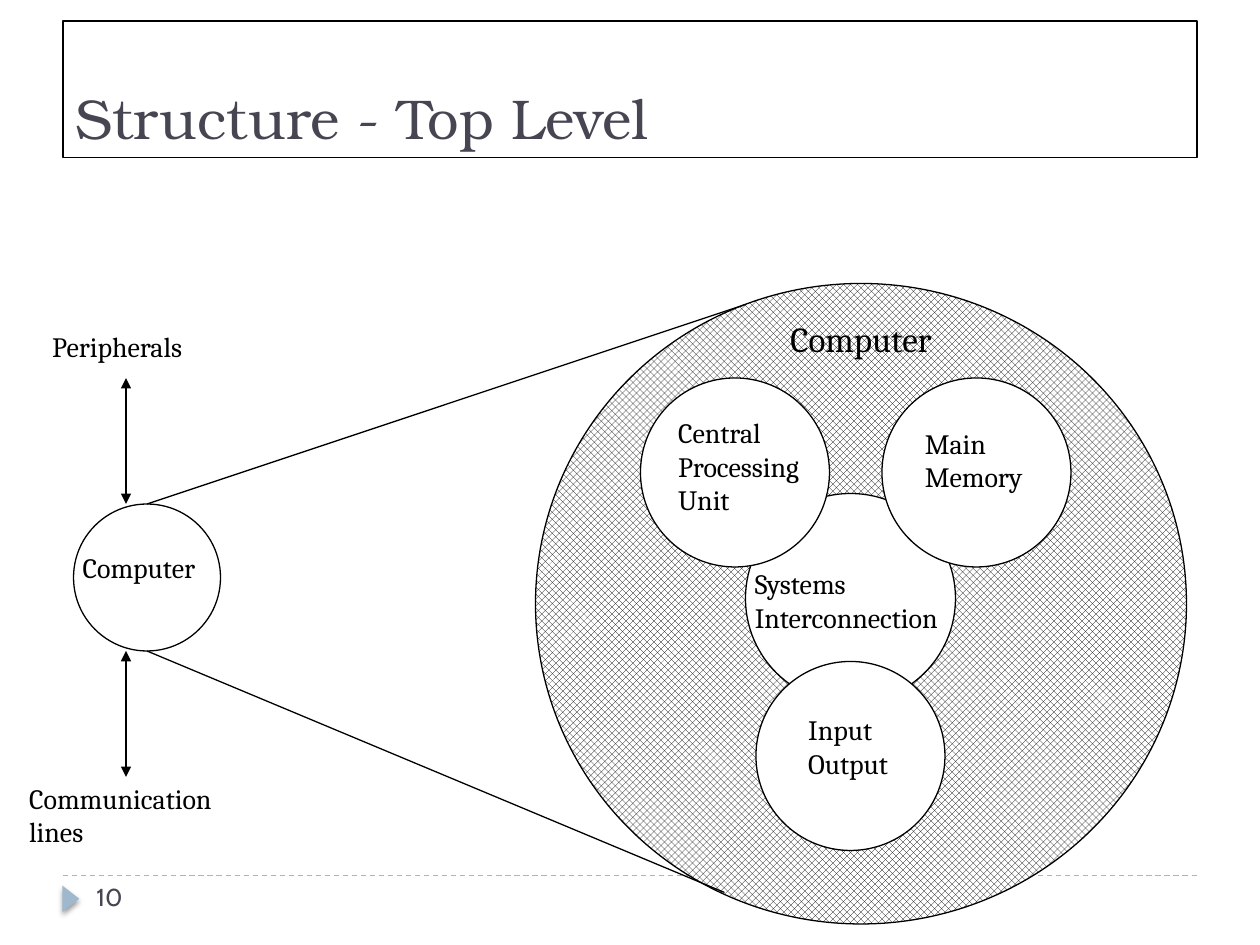
from dataclasses import dataclass

from lxml.etree import SubElement
from pptx import Presentation
from pptx.dml.color import RGBColor
from pptx.enum.dml import MSO_LINE, MSO_PATTERN
from pptx.enum.shapes import MSO_CONNECTOR, MSO_SHAPE
from pptx.enum.text import MSO_ANCHOR, MSO_AUTO_SIZE, PP_ALIGN
from pptx.oxml.ns import qn
from pptx.util import Inches, Pt

# The page is a grid of 120 columns and 90 rows
COLUMNS, ROWS = 120, 90
WIDTH, HEIGHT = Inches(10), Inches(7.5)
BLACK, WHITE, SLATE, ACCENT = "000000", "FFFFFF", "464653", "9FB8CD"
LABEL = {"name": "Cambria", "size": Pt(16)}
HEADING = {"name": "Cambria", "size": Pt(20)}
TITLE = {"name": "TeX Gyre Bonum", "size": Pt(32)}
NUMBER = {"name": "Cabin", "size": Pt(14)}


@dataclass
class Box:
    left: float
    top: float

    def point(self, column, row):
        return (round((self.left + column) * WIDTH / COLUMNS),
                round((self.top + row) * HEIGHT / ROWS))

    def area(self, column, row, columns, rows):
        return (*self.point(column, row),
                round(columns * WIDTH / COLUMNS), round(rows * HEIGHT / ROWS))


def colour(value):
    return RGBColor.from_string(value)


def set_line(line, value=BLACK):
    line.color.rgb = colour(value)
    line.width = Pt(0.75)


def write(frame, lines, style, value=BLACK, align=PP_ALIGN.LEFT):
    for index, text in enumerate(lines):
        para = frame.add_paragraph() if index else frame.paragraphs[0]
        para.alignment = align
        span = para.add_run()
        span.text = text
        for name, setting in style.items():
            setattr(span.font, name, setting)
        span.font.color.rgb = colour(value)


def add_label(page, area, lines, style=LABEL, align=PP_ALIGN.LEFT):
    frame = page.shapes.add_textbox(*area).text_frame
    frame.word_wrap = False
    frame.auto_size = MSO_AUTO_SIZE.SHAPE_TO_FIT_TEXT
    write(frame, lines, style, align=align)
    return frame


def add_circle(page, area, fill=WHITE):
    circle = page.shapes.add_shape(MSO_SHAPE.OVAL, *area)
    circle.shadow.inherit = False
    set_line(circle.line)
    if fill:
        circle.fill.solid()
        circle.fill.fore_color.rgb = colour(fill)
    else:
        circle.fill.background()
    return circle


def add_line(page, start, end, value=BLACK, arrows=False):
    line = page.shapes.add_connector(MSO_CONNECTOR.STRAIGHT, *start, *end)
    set_line(line.line, value)
    SubElement(line.element.spPr, qn("a:effectLst"))
    if arrows:
        outline = line.element.spPr.find(qn("a:ln"))
        for tag in ("a:headEnd", "a:tailEnd"):
            SubElement(outline, qn(tag), type="triangle")
    return line


def add_soft_shadow(shape):
    effects = SubElement(shape.element.spPr, qn("a:effectLst"))
    shadow = SubElement(effects, qn("a:outerShdw"), blurRad=str(Pt(3)),
                        dist=str(Pt(2)), dir="5400000", rotWithShape="0")
    black = SubElement(shadow, qn("a:srgbClr"), val=BLACK)
    SubElement(black, qn("a:alpha"), val="40000")


def draw_frame(page, box):
    # Dashed rules under the title and above the footer
    for row in (83.4, 15):
        rule = add_line(page, box.point(6, row), box.point(114, row), ACCENT)
        rule.line.dash_style = MSO_LINE.DASH

    # Footer marker and page number
    marker = page.shapes.add_shape(MSO_SHAPE.ISOSCELES_TRIANGLE,
                                   *box.area(5.5, 84.8, 2.5, 1.6))
    marker.rotation = 90
    marker.fill.solid()
    marker.fill.fore_color.rgb = colour(ACCENT)
    marker.line.fill.background()
    add_soft_shadow(marker)
    number = page.shapes.add_textbox(*box.area(8, 83.4, 26, 4.8)).text_frame
    number.word_wrap = True
    write(number, ["10"], NUMBER, SLATE)

    # Title, brought in front of the rule at its lower edge
    title = page.shapes.title
    title.left, title.top, title.width, title.height = box.area(6, 2, 108, 13)
    set_line(title.line)
    title.text_frame.vertical_anchor = MSO_ANCHOR.BOTTOM
    title.text_frame.auto_size = MSO_AUTO_SIZE.NONE
    write(title.text_frame, ["Structure - Top Level"], TITLE, SLATE)
    title.element.getparent().append(title.element)


def draw_structure(page, box):
    # Hatched outer circle
    outer = add_circle(page, box.area(0, 0, 62, 61))
    outer.fill.patterned()
    outer.fill.pattern = MSO_PATTERN.OUTLINED_DIAMOND
    outer.fill.fore_color.rgb = colour(BLACK)
    outer.fill.back_color.rgb = colour(WHITE)
    heading = add_label(page, box.area(22.4, 2.6, 17.2, 5.3), ["Computer"],
                        HEADING, PP_ALIGN.CENTER)
    heading.vertical_anchor = MSO_ANCHOR.MIDDLE

    # Components: circle corner and size, label area, label lines
    components = [
        (20, 20, 20, (19.7, 26.4, 21.2, 7.6), ["Systems", "Interconnection"]),
        (10, 9, 18, (12.4, 12, 15.6, 10.8), ["Central", "Processing", "Unit"]),
        (33, 9, 18, (35.9, 13, 12.2, 7.6), ["Main", "Memory"]),
        (21, 36, 18, (24.8, 40.3, 10.8, 7.6), ["Input", "Output"]),
    ]
    for column, row, size, _, _ in components:
        add_circle(page, box.area(column, row, size, size))
    for _, _, _, area, lines in components:
        add_label(page, box.area(*area), lines)


def draw_overview(page, box):
    # Small computer with lines opening out to the detailed view
    add_circle(page, box.area(7, 21, 14, 14), fill=None)
    for start, end in (((14, 21), (71, 2)), ((14, 35), (69, 58))):
        add_line(page, box.point(*start), box.point(*end))

    # Two-way links to the outside
    for row in (9, 35):
        add_line(page, box.point(12, row), box.point(12, row + 12), arrows=True)

    for area, lines in (
        ((3.8, 3.8, 15.8, 4.4), ["Peripherals"]),
        ((6.7, 24.8, 14.2, 4.4), ["Computer"]),
        ((1.6, 46.8, 21.4, 7.6), ["Communication", "lines"]),
    ):
        add_label(page, box.area(*area), lines)


def main():
    deck = Presentation()
    deck.slide_width, deck.slide_height = WIDTH, HEIGHT
    page = deck.slides.add_slide(deck.slide_layouts[5])
    draw_frame(page, Box(0, 0))
    draw_structure(page, Box(51, 27))
    draw_overview(page, Box(0, 27))
    deck.save("out.pptx")


if __name__ == "__main__":
    main()
